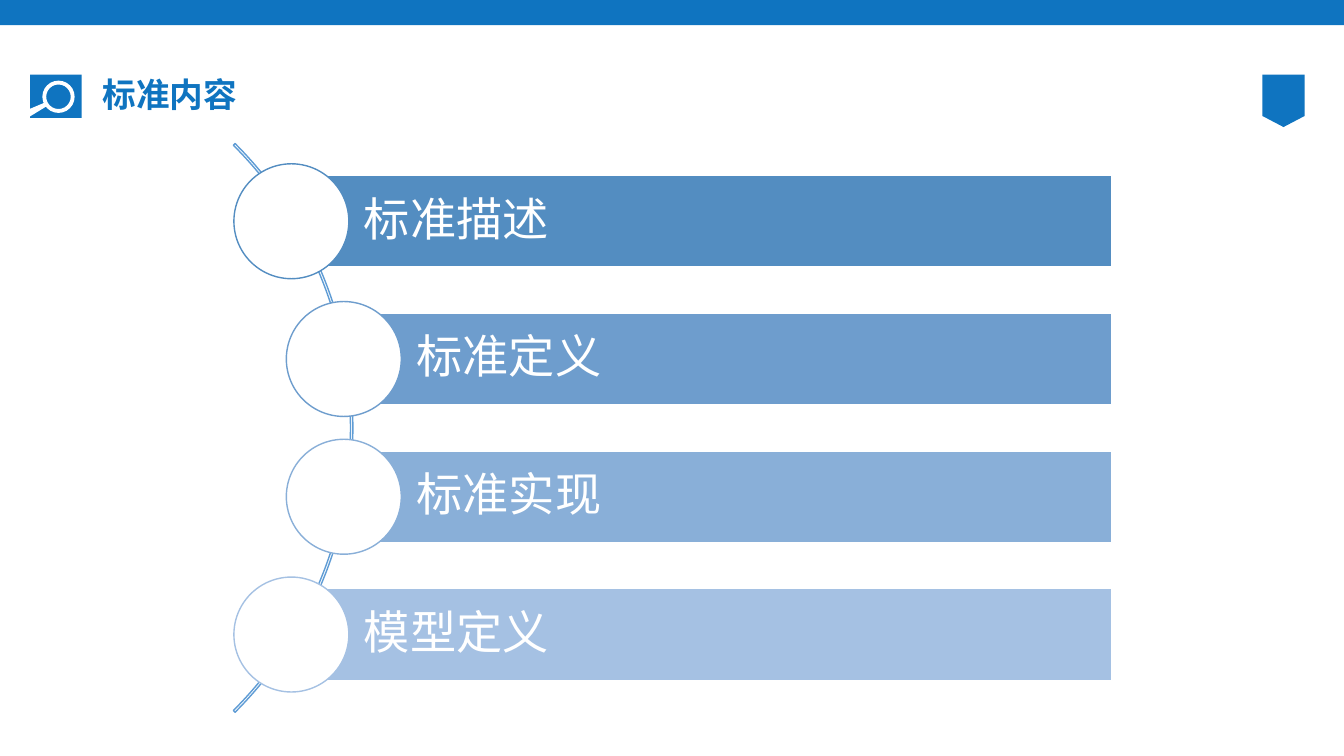
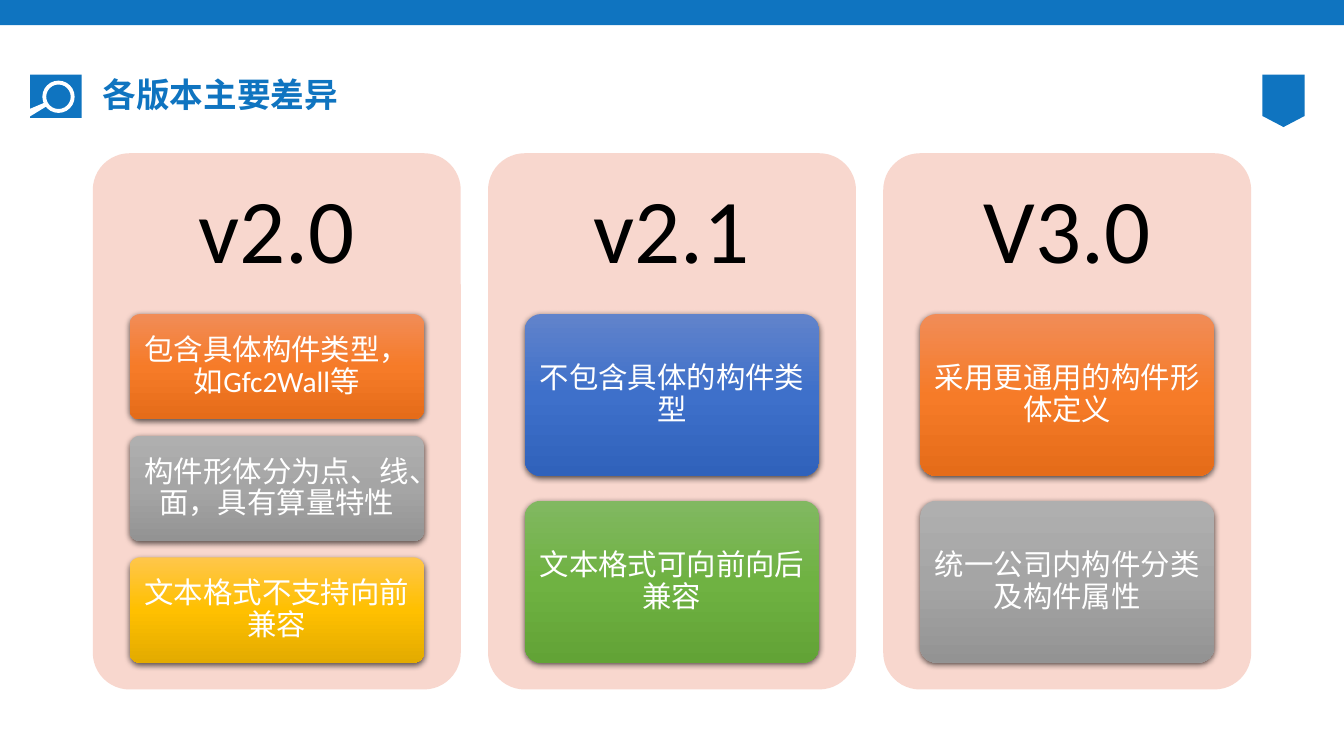
from pptx import Presentation
from pptx.util import Inches, Pt
from pptx.dml.color import RGBColor
from pptx.enum.shapes import MSO_SHAPE
from pptx.enum.text import MSO_ANCHOR, PP_ALIGN
from pptx.oxml.ns import qn
from lxml import etree

RECT, ROUND = MSO_SHAPE.RECTANGLE, MSO_SHAPE.ROUNDED_RECTANGLE
OVAL, DONUT, ARC = MSO_SHAPE.OVAL, MSO_SHAPE.DONUT, MSO_SHAPE.BLOCK_ARC
MIDDLE = MSO_ANCHOR.MIDDLE
LEFT, CENTER = PP_ALIGN.LEFT, PP_ALIGN.CENTER

BLUE, WHITE, BLACK, PINK, ARC_BLUE = "0F74C0", "FFFFFF", "000000", "F8D7CE", "5F9CD5"
CJK, LATIN = "Noto Sans CJK SC", "Calibri"
ORANGE = ("F18C57", "F67B28", "E56C19")
GRAY = ("AFAFAF", "A5A5A5", "939393")
GOLD = ("FFC64B", "FFC000", "E3AB00")
ROYAL = ("6183CB", "3E70CA", "3062BB")
GREEN = ("81B861", "6FB242", "62A336")

TITLE = {"size": Pt(24), "name": CJK, "bold": True}
BAR = {"size": Pt(33), "name": CJK}
HEADING = {"size": Pt(65), "name": LATIN}
CARD = {"size": Pt(21), "name": LATIN}


def rgb(value):
    return RGBColor.from_string(value)


def paint(s, fill=None, line=None):
    s.shadow.inherit = False
    if fill:
        s.fill.solid()
        s.fill.fore_color.rgb = rgb(fill)
    else:
        s.fill.background()
    if line:
        s.line.color.rgb = rgb(line)
        s.line.width = Pt(1)
    else:
        s.line.fill.background()
    return s


def shape(slide, kind, box, fill=None, line=None, adjust=()):
    s = slide.shapes.add_shape(kind, *map(Inches, box))
    for i, value in enumerate(adjust):
        s.adjustments[i] = value
    return paint(s, fill, line)


def polygon(slide, points, fill):
    builder = slide.shapes.build_freeform(*map(Inches, points[0]), scale=1.0)
    builder.add_line_segments([tuple(map(Inches, pt)) for pt in points[1:]])
    return paint(builder.convert_to_shape(), fill)


def write(s, text, font, color, align=LEFT, insets=(0.1, 0.05, 0.1, 0.05)):
    tf = s.text_frame
    tf.word_wrap = True
    tf.vertical_anchor = MIDDLE
    for side, inset in zip(("left", "top", "right", "bottom"), insets):
        setattr(tf, f"margin_{side}", Inches(inset))
    p = tf.paragraphs[0]
    p.alignment, p.line_spacing = align, 0.9
    r = p.add_run()
    r.text = text
    for name, value in font.items():
        setattr(r.font, name, value)
    r.font.color.rgb = rgb(color)
    etree.SubElement(r.font._element, qn("a:ea"), typeface=CJK)


def text_box(slide, box, *args, **kwargs):
    write(slide.shapes.add_textbox(*map(Inches, box)), *args, **kwargs)


def add_color(parent, value):
    return etree.SubElement(parent, qn("a:srgbClr"), val=value)


def shade(s, colors):
    """Vertical three-stop gradient with a soft shadow below."""
    s.fill.gradient()
    s.fill.gradient_angle = 270
    sp_pr = s._element.spPr
    stops = sp_pr.find(".//" + qn("a:gsLst"))
    for stop in list(stops):
        stops.remove(stop)
    for pos, value in zip((0, 50000, 100000), colors):
        add_color(etree.SubElement(stops, qn("a:gs"), pos=str(pos)), value)
    shadow = etree.SubElement(sp_pr.find(qn("a:effectLst")), qn("a:outerShdw"),
                              blurRad=str(Pt(4.5)), dist=str(Pt(1.5)),
                              dir="5400000", algn="ctr", rotWithShape="0")
    etree.SubElement(add_color(shadow, BLACK), qn("a:alpha"), val="63000")


def search_icon(slide, x, y):
    shape(slide, RECT, (x, y, 0.51, 0.43), BLUE)
    shape(slide, DONUT, (x + 0.12, y + 0.06, 0.32, 0.32), WHITE, adjust=(0.12,))
    handle = [(0.14, 0.28), (-0.05, 0.36), (-0.06, 0.41), (-0.01, 0.42), (0.17, 0.31)]
    polygon(slide, [(x + dx, y + dy) for dx, dy in handle], WHITE)


def bookmark(slide, x, y, w, h):
    side = y + h - 0.11
    polygon(slide, [(x, y), (x + w, y), (x + w, side), (x + w / 2, y + h), (x, side)], BLUE)


def new_slide(prs, title):
    slide = prs.slides.add_slide(prs.slide_layouts[6])
    shape(slide, RECT, (0, 0, 13.33, 0.25), BLUE)
    search_icon(slide, 0.3, 0.74)
    bookmark(slide, 12.52, 0.74, 0.42, 0.52)
    text_box(slide, (0.92, 0.74, 11.5, 0.43), title, TITLE, BLUE)
    return slide


def curved_list(slide, box, items):
    """Bars with a circle at each left end, strung along an arc."""
    x, y, w, h = box
    bar_h, circle, d = 0.91, 1.14, 7.98
    pitch = (h - bar_h) / (len(items) - 1)
    shape(slide, ARC, (x - 7.37, y + (h - d) / 2, d, d), None, ARC_BLUE,
          (189, 27, 0.003))
    for i, (text, color, indent) in enumerate(items):
        left, top = x + indent, y + i * pitch
        bar = shape(slide, RECT, (left, top, w - indent, bar_h), color, WHITE)
        write(bar, text, BAR, WHITE, insets=(0.72, 0.09, 0.09, 0.09))
        shape(slide, OVAL, (left - circle / 2, top + (bar_h - circle) / 2, circle, circle),
              WHITE, color)


def version_panel(slide, box, heading, cards):
    """Panel with a large heading above a stack of cards."""
    x, y, w, h = box
    head_h, stack_h, gap_ratio = 0.3 * h, 0.65 * h, 0.154
    shape(slide, ROUND, box, PINK, adjust=(0.1,))
    text_box(slide, (x, y, w, head_h), heading, HEADING, BLACK, CENTER, (0.27,) * 4)
    card_h = stack_h / (len(cards) + gap_ratio * (len(cards) - 1))
    for i, (text, colors) in enumerate(cards):
        top = y + head_h + i * card_h * (1 + gap_ratio)
        card = shape(slide, ROUND, (x + 0.1 * w, top, 0.8 * w, card_h), adjust=(0.1,))
        shade(card, colors)
        write(card, text, CARD, WHITE, CENTER, (0.06, 0.04, 0.06, 0.04))


prs = Presentation()
prs.slide_width, prs.slide_height = Inches(13.33), Inches(7.5)

# Contents
curved_list(new_slide(prs, "标准内容"), (2.89, 1.74, 8.14, 5.01), [
    ("标准描述", "538DC1", 0),
    ("标准定义", "6E9DCD", 0.52),
    ("标准实现", "89AFD8", 0.52),
    ("模型定义", "A5C1E3", 0),
])

# Version differences
versions = [
    ("v2.0", [("包含具体构件类型，如Gfc2Wall等", ORANGE),
              ("构件形体分为点、线、面，具有算量特性", GRAY),
              ("文本格式不支持向前兼容", GOLD)]),
    ("v2.1", [("不包含具体的构件类型", ROYAL),
              ("文本格式可向前向后兼容", GREEN)]),
    ("V3.0", [("采用更通用的构件形体定义", ORANGE),
              ("统一公司内构件分类及构件属性", GRAY)]),
]
slide = new_slide(prs, "各版本主要差异")
for i, (heading, cards) in enumerate(versions):
    version_panel(slide, (0.92 + i * 3.92, 1.52, 3.65, 5.32), heading, cards)

prs.save("out.pptx")
